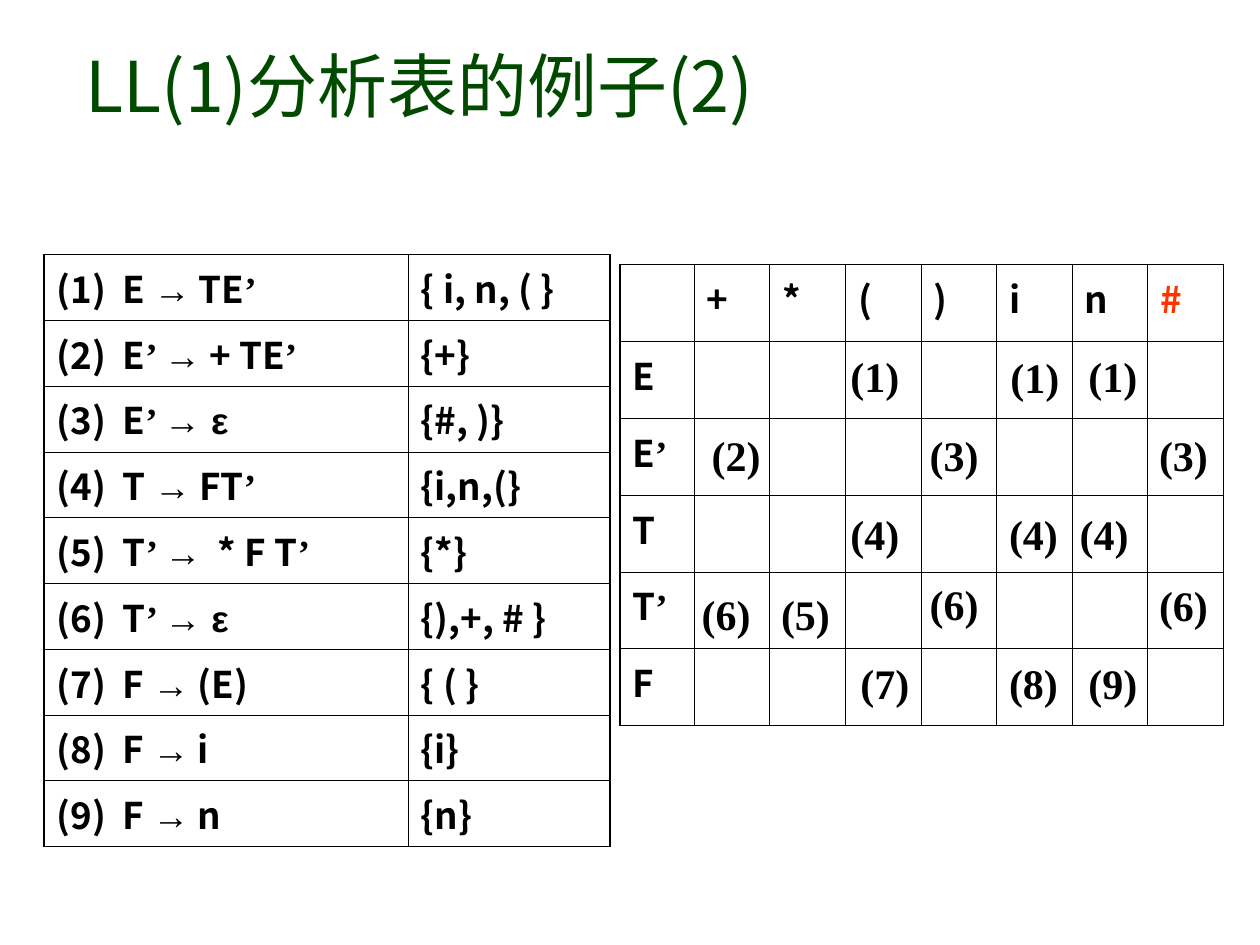
from dataclasses import dataclass

from lxml import etree
from pptx import Presentation
from pptx.dml.color import RGBColor
from pptx.enum.text import MSO_ANCHOR, MSO_AUTO_SIZE, PP_ALIGN
from pptx.oxml.ns import qn
from pptx.util import Inches, Pt

LEFT, MIDDLE, GROW = PP_ALIGN.LEFT, MSO_ANCHOR.MIDDLE, MSO_AUTO_SIZE.SHAPE_TO_FIT_TEXT

TITLE = "LL(1)分析表的例子(2)"
PRODUCTIONS = [
    ("(1)  E |→| TE|’", "{ i, n, ( }"),
    ("(2)  E|’ |→| + TE|’", "{+}"),
    ("(3)  E|’ |→ ε", "{#, )}"),
    ("(4)  T |→| FT|’", "{i,n,(}"),
    ("(5)  T|’ |→|  * F T|’", "{*}"),
    ("(6)  T|’ |→ ε", "{),+, # }"),
    ("(7)  F |→| (E)", "{ ( }"),
    ("(8)  F |→| i", "{i}"),
    ("(9)  F |→| n", "{n}"),
]
TERMINALS = ["+", "*", "(", ")", "i", "n", "#"]
NONTERMINALS = ["E", "E|’", "T", "T|’", "F"]
# label, row, column, nudge right, nudge down
MARKS = [
    ("(1)", "E", "(", -0.06, 0), ("(1)", "E", "i", 0.01, 0.01), ("(1)", "E", "n", 0.03, 0),
    ("(2)", "E|’", "+", 0.04, 0.02), ("(3)", "E|’", "#", -0.01, 0.02),
    ("(3)", "E|’", ")", -0.03, 0.02),
    ("(4)", "T", "i", 0, 0.04), ("(4)", "T", "n", -0.04, 0.04), ("(4)", "T", "(", -0.06, 0.04),
    ("(5)", "T|’", "*", -0.01, 0.06), ("(6)", "T|’", ")", -0.03, -0.02),
    ("(6)", "T|’", "+", -0.04, 0.06), ("(6)", "T|’", "#", -0.01, -0.01),
    ("(7)", "F", "(", 0.02, 0), ("(8)", "F", "i", 0, 0), ("(9)", "F", "n", 0.03, 0),
]


@dataclass(frozen=True)
class Theme:
    sans: str = "Noto Sans CJK KR"
    serif: str = "Times New Roman"
    symbol: str = "Arial"
    ink: str = "000000"
    title: str = "004A00"
    end: str = "FF3300"
    title_size: int = 40
    cell_size: int = 21
    mark_size: int = 24
    thick: float = 1.08
    thin: float = 0.45


T = Theme()
PIECE_FONTS = {"’": T.serif, "→": T.symbol}
STUB, CELL, HEAD = 0.59, 0.6, 0.61
GRID_X, GRID_Y = 4.92, 2.1


def write(tf, text, font=None, size=T.cell_size, color=T.ink, bold=True):
    """Write pieces split at bars, each in the font its first character calls for."""
    p = tf.paragraphs[0]
    p.alignment = LEFT
    for piece in text.split("|"):
        r = p.add_run()
        r.text = piece
        f = r.font
        f.name = font or PIECE_FONTS.get(piece[0], T.sans)
        f.size, f.bold = Pt(size), bold
        f.color.rgb = RGBColor.from_string(color)
        for tag in ("a:ea", "a:cs"):
            etree.SubElement(r._r.rPr, qn(tag)).set("typeface", f.name)


def border(cell, tag, width):
    ln = etree.SubElement(cell._tc.get_or_add_tcPr(), qn(tag), w=str(Pt(width)))
    fill = etree.SubElement(ln, qn("a:solidFill"))
    etree.SubElement(fill, qn("a:srgbClr"), val=T.ink)


def add_grid(s, rows, left, top, widths, height):
    last_row, last_col = len(rows) - 1, len(widths) - 1
    table = s.shapes.add_table(len(rows), len(widths), Inches(left), Inches(top),
                               Inches(sum(widths)), Inches(height)).table
    table.first_row = table.horz_banding = False
    for col, width in zip(table.columns, widths):
        col.width = Inches(width)
    for i, row in enumerate(rows):
        for j, text in enumerate(row):
            cell = table.cell(i, j)
            edges = {"a:lnL": j == 0, "a:lnR": j == last_col,
                     "a:lnT": i == 0, "a:lnB": i == last_row}
            for tag, outer in edges.items():
                border(cell, tag, T.thick if outer else T.thin)
            cell.fill.background()
            if text:
                write(cell.text_frame, text, color=T.end if text == "#" else T.ink)


def add_mark(s, label, row, col, dx, dy):
    x = GRID_X + STUB + CELL * TERMINALS.index(col) + dx
    y = GRID_Y + 0.02 + HEAD * (1 + NONTERMINALS.index(row)) + dy
    tf = s.shapes.add_textbox(Inches(x), Inches(y), Inches(0.71), Inches(0.5)).text_frame
    tf.word_wrap, tf.auto_size = True, GROW
    write(tf, label, font=T.serif, size=T.mark_size)


def main():
    prs = Presentation()
    prs.slide_width, prs.slide_height = Inches(10), Inches(7.5)
    s = prs.slides.add_slide(prs.slide_layouts[5])

    title = s.shapes.title
    title.left, title.top, title.width, title.height = map(Inches, (0.58, 0.17, 8.49, 1))
    title.text_frame.vertical_anchor = MIDDLE
    write(title.text_frame, TITLE, size=T.title_size, color=T.title, bold=False)

    add_grid(s, PRODUCTIONS, 0.35, 2.02, [2.89, 1.6], 4.27)
    parse_rows = [["", *TERMINALS]] + [[n] + [""] * len(TERMINALS) for n in NONTERMINALS]
    add_grid(s, parse_rows, GRID_X, GRID_Y, [STUB] + [CELL] * len(TERMINALS),
             HEAD * len(parse_rows))
    for mark in MARKS:
        add_mark(s, *mark)
    prs.save("out.pptx")


if __name__ == "__main__":
    main()
